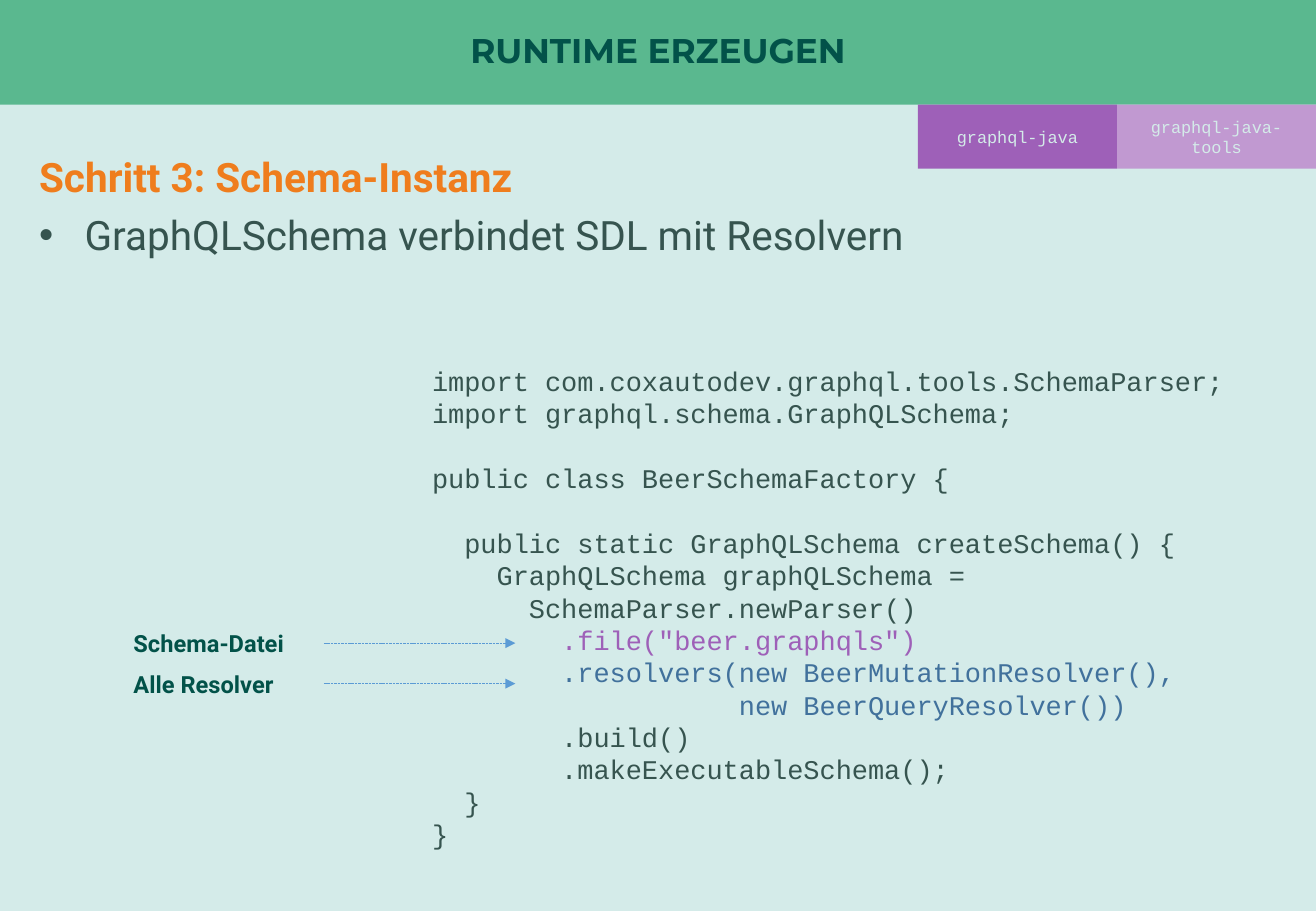
import pptx
import pptx.util
import pptx.dml.color
import pptx.enum.dml
import pptx.enum.shapes
import pptx.enum.text
from lxml import etree
from pptx.oxml.ns import qn

Pt = pptx.util.Pt
ALIGN = pptx.enum.text.PP_ALIGN
ANCHOR = pptx.enum.text.MSO_ANCHOR
RECTANGLE = pptx.enum.shapes.MSO_SHAPE.RECTANGLE

WIDTH, HEIGHT = 780, 540
HEADER_HEIGHT = 62
TAG_WIDTH, TAG_HEIGHT = 118, 38
PALE, GREEN, DARK_GREEN, TEXT = "D4EBE9", "5AB88F", "025249", "36544F"
ORANGE, PURPLE, LILAC, BLUE, ARROW_BLUE = "EF7D1D", "9E60B8", "C199D1", "41719C", "5B9BD5"

# Code lines grouped by colour
CODE = [
    (TEXT, """import com.coxautodev.graphql.tools.SchemaParser;
import graphql.schema.GraphQLSchema;

public class BeerSchemaFactory {

  public static GraphQLSchema createSchema() {
    GraphQLSchema graphQLSchema =
      SchemaParser.newParser()"""),
    (PURPLE, """        .file("beer.graphqls")"""),
    (BLUE, """        .resolvers(new BeerMutationResolver(),
                   new BeerQueryResolver())"""),
    (TEXT, """        .build()
        .makeExecutableSchema();
  }
}"""),
]


def color(value):
    return pptx.dml.color.RGBColor.from_string(value)


def set_font(para, name, size, value, bold=False):
    para.font.name = name
    para.font.size = Pt(size)
    para.font.bold = bold
    para.font.color.rgb = color(value)


def place(shape, left, top, width, height):
    shape.left, shape.top = Pt(left), Pt(top)
    shape.width, shape.height = Pt(width), Pt(height)


def add_rectangle(page, left, top, width, height, fill):
    box = page.shapes.add_shape(RECTANGLE, Pt(left), Pt(top), Pt(width), Pt(height))
    box.shadow.inherit = False
    box.fill.solid()
    box.fill.fore_color.rgb = color(fill)
    box.line.fill.background()
    return box


def add_tag(page, left, text, fill):
    box = add_rectangle(page, left, HEADER_HEIGHT, TAG_WIDTH, TAG_HEIGHT, fill)
    box.text_frame.word_wrap = True
    box.text_frame.vertical_anchor = ANCHOR.MIDDLE
    para = box.text_frame.paragraphs[0]
    para.text = text
    para.alignment = ALIGN.CENTER
    set_font(para, "Courier New", 10, PALE)


def add_text_box(page, left, top, width, height):
    box = page.shapes.add_textbox(Pt(left), Pt(top), Pt(width), Pt(height))
    box.text_frame.word_wrap = True
    return box.text_frame


def add_label(page, top, text):
    para = add_text_box(page, 72, top, 137, 24.5).paragraphs[0]
    para.text = text
    set_font(para, "Roboto", 14, DARK_GREEN, True)


def add_arrow(page, left, right, y):
    arrow = page.shapes.add_connector(
        pptx.enum.shapes.MSO_CONNECTOR.STRAIGHT, Pt(left), Pt(y), Pt(right), Pt(y))
    arrow.line.color.rgb = color(ARROW_BLUE)
    arrow.line.width = Pt(0.5)
    arrow.line.dash_style = pptx.enum.dml.MSO_LINE.SQUARE_DOT
    etree.SubElement(arrow.line._get_or_add_ln(), qn("a:tailEnd"), type="triangle")
    etree.SubElement(arrow._element.spPr, qn("a:effectLst"))


def fill_title(title, text):
    place(title, 0, 0, WIDTH, HEADER_HEIGHT)
    frame = title.text_frame
    frame.margin_left = frame.margin_right = frame.margin_top = frame.margin_bottom = 0
    frame.vertical_anchor = ANCHOR.MIDDLE
    para = frame.paragraphs[0]
    para.text = text
    para.alignment = ALIGN.CENTER
    para.line_spacing = 0.9
    set_font(para, "Montserrat", 20.3, DARK_GREEN, True)


def fill_body(body, heading, point):
    place(body, 16, 80.5, 662, 75)
    frame = body.text_frame
    frame.auto_size = pptx.enum.text.MSO_AUTO_SIZE.NONE
    frame.text = f"{heading}\n{point}"
    for para, bullet, indent in zip(frame.paragraphs, (None, "•"), (0, 27)):
        para.line_spacing = 1.2
        para.space_before = Pt(0)
        properties = para._p.get_or_add_pPr()
        properties.set("marL", str(Pt(indent)))
        properties.set("indent", str(-Pt(indent)))
        if bullet:
            etree.SubElement(properties, qn("a:buFont"), typeface="Arial")
            etree.SubElement(properties, qn("a:buChar"), char=bullet)
        else:
            etree.SubElement(properties, qn("a:buNone"))
    set_font(frame.paragraphs[0], "Roboto", 24, ORANGE, True)
    set_font(frame.paragraphs[1], "Roboto", 24, TEXT)


def add_code(page):
    frame = add_text_box(page, 249, 212.5, 516, 298)
    lines = [(value, line) for value, block in CODE for line in block.split("\n")]
    frame.text = "\n".join(line for _, line in lines)
    for para, (value, _) in zip(frame.paragraphs, lines):
        set_font(para, "Courier New", 16, value)


def main():
    deck = pptx.Presentation()
    deck.slide_width, deck.slide_height = Pt(WIDTH), Pt(HEIGHT)
    page = deck.slides.add_slide(deck.slide_layouts[1])
    page.background.fill.solid()
    page.background.fill.fore_color.rgb = color(PALE)

    # Header band behind the title
    band = add_rectangle(page, 0, 0, WIDTH, HEADER_HEIGHT, GREEN)
    page.shapes._spTree.insert(2, band._element)
    fill_title(page.shapes.title, "RUNTIME ERZEUGEN")

    # Library tags, right aligned under the header
    add_tag(page, WIDTH - TAG_WIDTH, "graphql-java-tools", LILAC)
    add_tag(page, WIDTH - 2 * TAG_WIDTH, "graphql-java", PURPLE)

    # Step and code
    fill_body(page.placeholders[1], "Schritt 3: Schema-Instanz",
              "GraphQLSchema verbindet SDL mit Resolvern")
    add_code(page)

    # Labels pointing at the code
    for top, text in ((369.5, "Schema-Datei"), (393.5, "Alle Resolver")):
        add_label(page, top, text)
        add_arrow(page, 192, 305.5, top + 11.75)

    deck.save("out.pptx")


if __name__ == "__main__":
    main()
